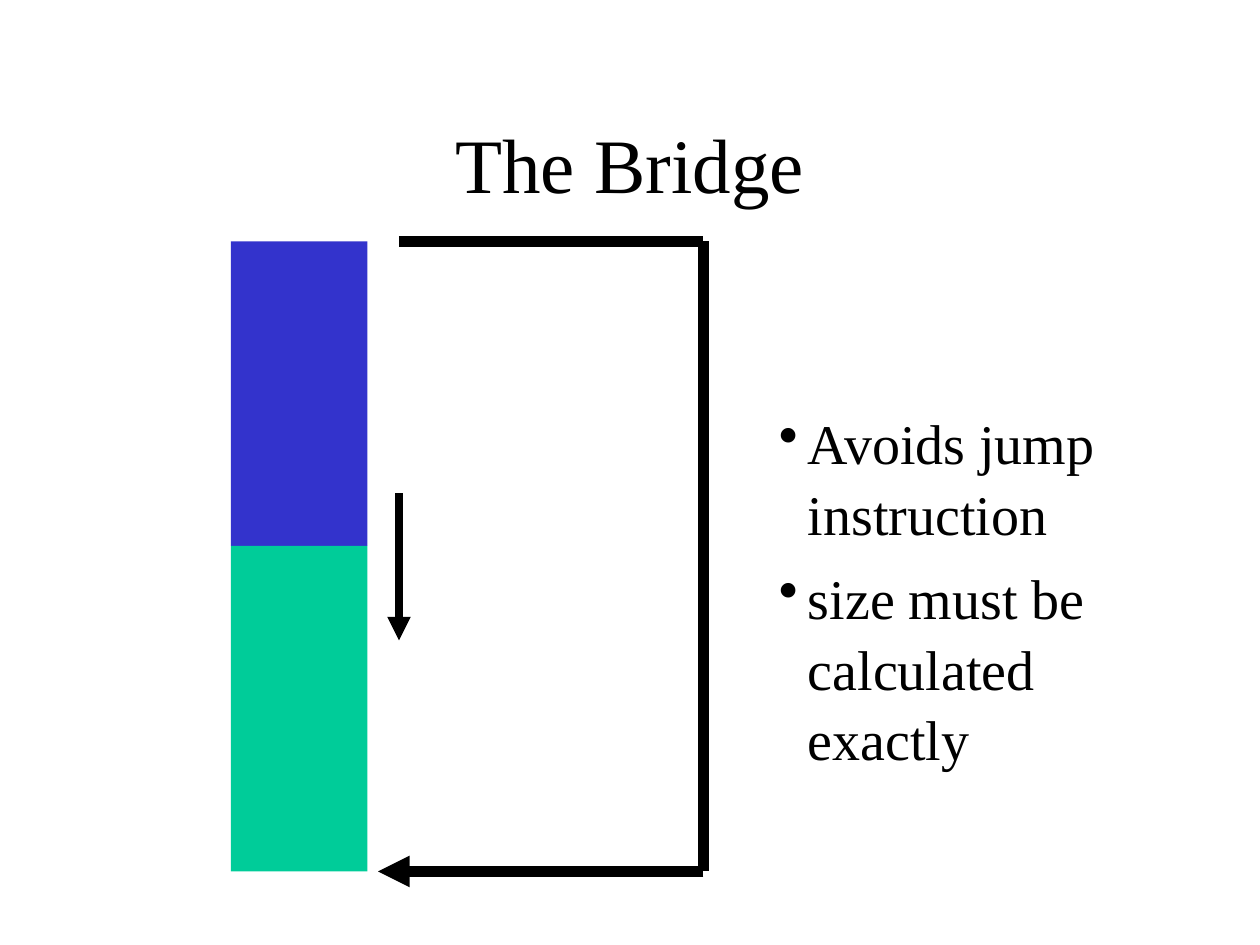
"""Build the slide about the bridge that avoids a jump instruction."""
from lxml import etree
from pptx import Presentation
from pptx.dml.color import RGBColor
from pptx.enum.shapes import MSO_CONNECTOR, MSO_SHAPE
from pptx.enum.text import MSO_ANCHOR, PP_ALIGN
from pptx.oxml.ns import qn
from pptx.util import Inches, Pt

BLACK = RGBColor(0x00, 0x00, 0x00)
BLUE = RGBColor(0x33, 0x33, 0xCC)
GREEN = RGBColor(0x00, 0xCC, 0x99)
LINE = MSO_CONNECTOR.STRAIGHT
RECT = MSO_SHAPE.RECTANGLE
LEFT, CENTER = PP_ALIGN.LEFT, PP_ALIGN.CENTER
TOP, MIDDLE = MSO_ANCHOR.TOP, MSO_ANCHOR.MIDDLE
FONT = "Times New Roman"

deck = Presentation()
deck.slide_width, deck.slide_height = Inches(10), Inches(7.5)
slide = deck.slides.add_slide(deck.slide_layouts[6])
shapes = slide.shapes
cell = deck.slide_width / 120


def grid(*steps):
    return [round(step * cell) for step in steps]


def write(text, box, size, align=LEFT, anchor=TOP, bullet=None, gap=0, lead=1.0):
    frame = shapes.add_textbox(*grid(*box)).text_frame
    frame.word_wrap = True
    frame.vertical_anchor = anchor
    frame.text = text
    for rank, para in enumerate(frame.paragraphs):
        para.alignment = align
        para.line_spacing = lead
        para.space_before = Pt(gap if rank else 0)
        if bullet:
            props = para._p.get_or_add_pPr()
            hang = Inches(0.23)
            props.set("marL", str(hang))
            props.set("indent", str(-hang))
            etree.SubElement(props, qn("a:buChar"), char=bullet)
        para.font.name = FONT
        para.font.size = Pt(size)
        para.font.color.rgb = BLACK


write("The Bridge", (9, 8, 102, 15), 44, align=CENTER, anchor=MIDDLE)

left, wide = 22, 13
top, seam, base = 23, 52, 83
for start, end, color in ((top, seam, BLUE), (seam, base, GREEN)):
    block = shapes.add_shape(RECT, *grid(left, start, wide, end - start))
    block.shadow.inherit = False
    block.fill.solid()
    block.fill.fore_color.rgb = color
    block.line.fill.background()

near, far = 38, 67
arrows = (
    (near, top, far, top, 6, False),
    (far, top, far, base, 6, False),
    (far, base, 36, base, 6, True),
    (near, 47, near, 61, 4.5, True),
)
for *ends, width, head in arrows:
    link = shapes.add_connector(LINE, *grid(*ends))
    link.line.color.rgb = BLACK
    link.line.width = Pt(width)
    if head:
        etree.SubElement(link.line._get_or_add_ln(), qn("a:tailEnd"), type="triangle")
    etree.SubElement(link._element.spPr, qn("a:effectLst"))

points = "Avoids jump instruction\nsize must be calculated exactly"
write(points, (73, 38, 42, 28), 32, bullet="•", gap=8, lead=1.05)

deck.save("out.pptx")
